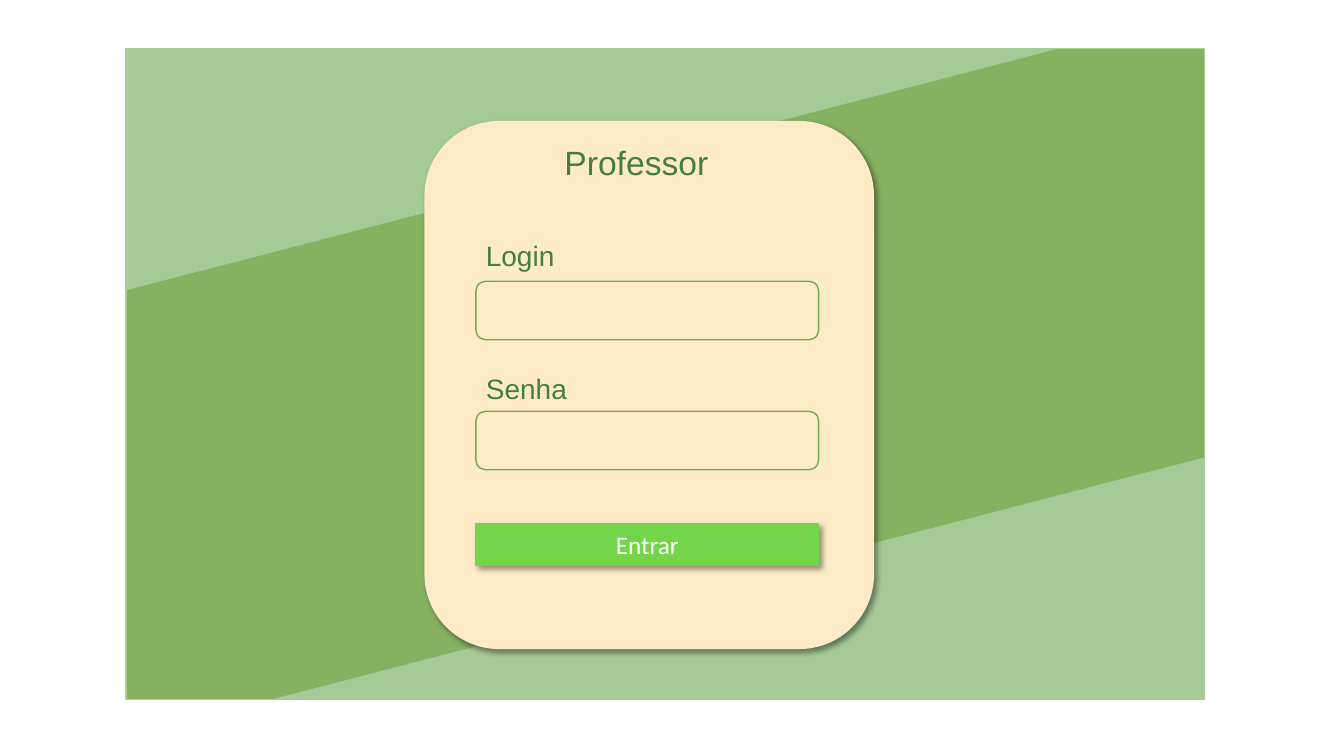
from lxml import etree
from pptx import Presentation
from pptx.dml.color import RGBColor
from pptx.enum.shapes import MSO_SHAPE
from pptx.enum.text import MSO_ANCHOR, PP_ALIGN
from pptx.oxml.ns import qn
from pptx.util import Inches, Pt

RECT, ROUND = MSO_SHAPE.RECTANGLE, MSO_SHAPE.ROUNDED_RECTANGLE
MIDDLE, CENTER = MSO_ANCHOR.MIDDLE, PP_ALIGN.CENTER

COLORS = {
    "field": "86B161", "edge": "A9D18E", "wedge": "A5CA97", "card": "FDEBC7",
    "box": "70AD47", "button": "73D54A", "label": "447E43",
    "white": "FFFFFF", "shade": "000000",
}
BACK = (1.25, 0.48, 10.7, 6.46)
CARD = (4.21, 1.2, 4.46, 5.24)
WEDGES = [
    [(1.25, 0.48), (10.51, 0.48), (1.25, 2.88)],
    [(11.94, 6.94), (2.69, 6.94), (11.94, 4.54)],
]
LEFT, WIDTH = 4.72, 3.4
LABELS = [
    ("Professor", 5.5, 1.36, 0.5, 24),
    ("Login", LEFT, 2.32, 0.44, 20),
    ("Senha", LEFT, 3.64, 0.44, 20),
]
BOXES = [(LEFT, top, WIDTH, 0.58) for top in (2.79, 4.08)]
BUTTON = ("Entrar", (LEFT, 5.2, WIDTH, 0.41))


def color(name):
    return RGBColor.from_string(COLORS[name])


def paint(shape, fill=None, line=None):
    shape.shadow.inherit = False
    if fill:
        shape.fill.solid()
        shape.fill.fore_color.rgb = color(fill)
    else:
        shape.fill.background()
    if line:
        shape.line.color.rgb = color(line)
        shape.line.width = Pt(1)
    else:
        shape.line.fill.background()


def add_shade(shape):
    effects = shape._element.spPr.find(qn("a:effectLst"))
    outer = etree.SubElement(
        effects, qn("a:outerShdw"), blurRad=str(Pt(4)), dist=str(Pt(3)),
        dir=str(45 * 60000), algn="tl", rotWithShape="0")
    tone = etree.SubElement(outer, qn("a:srgbClr"), val=COLORS["shade"])
    etree.SubElement(tone, qn("a:alpha"), val="40000")


def add_form(slide, kind, place, fill=None, line=None):
    shape = slide.shapes.add_shape(kind, *map(Inches, place))
    paint(shape, fill, line)
    return shape


def add_wedge(slide, points):
    spots = [(Inches(x), Inches(y)) for x, y in points]
    maker = slide.shapes.build_freeform(*spots[0])
    maker.add_line_segments(spots[1:], close=True)
    paint(maker.convert_to_shape(), "wedge")


def write(shape, text, size, face, tint):
    shape.text_frame.text = text
    font = shape.text_frame.paragraphs[0].runs[0].font
    font.size, font.name = Pt(size), face
    font.color.rgb = color(tint)


def main():
    """Build the teacher login slide."""
    deck = Presentation()
    deck.slide_width, deck.slide_height = Inches(13.33), Inches(7.5)
    slide = deck.slides.add_slide(deck.slide_layouts[6])

    add_form(slide, RECT, BACK, "field", "edge")
    for points in WEDGES:
        add_wedge(slide, points)
    add_shade(add_form(slide, ROUND, CARD, "card"))
    for place in BOXES:
        add_form(slide, ROUND, place, line="box")

    text, place = BUTTON
    button = add_form(slide, RECT, place, "button", "button")
    add_shade(button)
    write(button, text, 18, "Calibri", "white")
    button.text_frame.vertical_anchor = MIDDLE
    button.text_frame.paragraphs[0].alignment = CENTER

    for text, left, top, height, size in LABELS:
        label = slide.shapes.add_textbox(*map(Inches, (left, top, 5.01, height)))
        label.text_frame.word_wrap = True
        write(label, text, size, "Arial", "label")

    deck.save("out.pptx")


if __name__ == "__main__":
    main()
